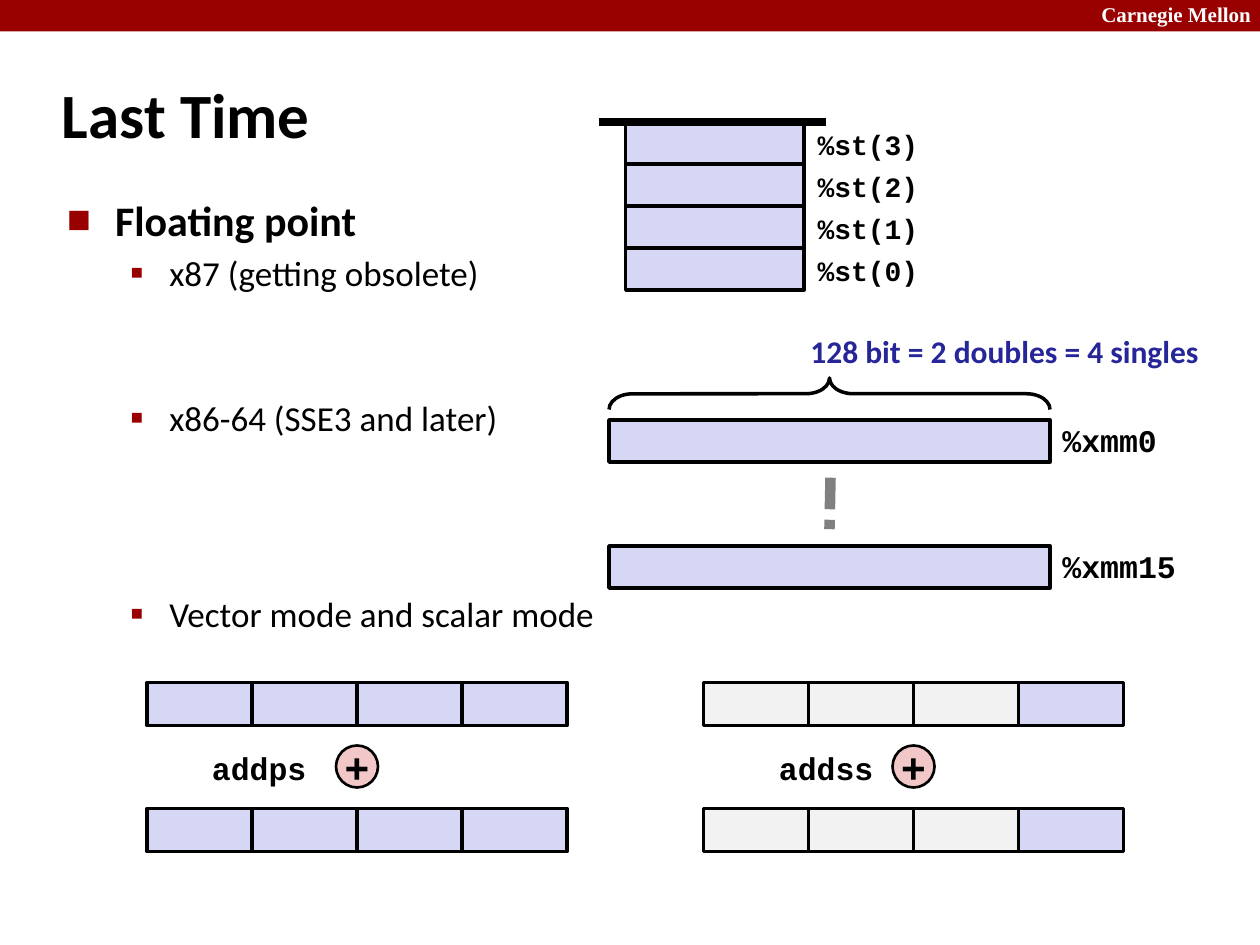
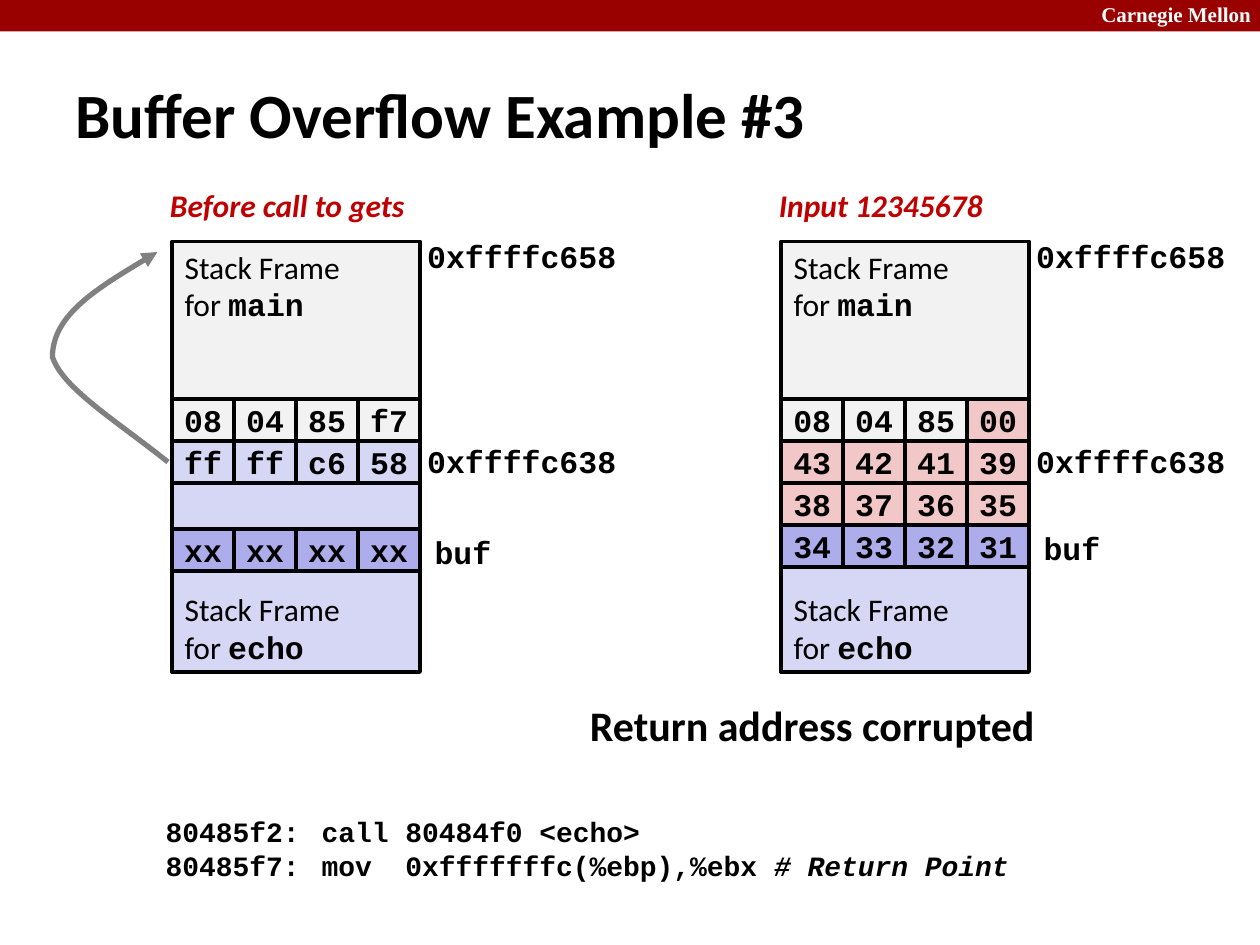
from pptx import Presentation
from pptx.dml.color import RGBColor
from pptx.enum.dml import MSO_LINE
from pptx.enum.shapes import MSO_CONNECTOR, MSO_SHAPE
from pptx.enum.text import MSO_ANCHOR, MSO_AUTO_SIZE, PP_ALIGN
from pptx.oxml.ns import qn
from pptx.util import Inches, Pt
from lxml import etree

RECTANGLE, OVAL, BRACE = MSO_SHAPE.RECTANGLE, MSO_SHAPE.OVAL, MSO_SHAPE.LEFT_BRACE
TOP, MIDDLE, BOTTOM = MSO_ANCHOR.TOP, MSO_ANCHOR.MIDDLE, MSO_ANCHOR.BOTTOM
LEFT, CENTER = PP_ALIGN.LEFT, PP_ALIGN.CENTER
STRAIGHT, DOTTED = MSO_CONNECTOR.STRAIGHT, MSO_LINE.SQUARE_DOT

BLACK = RGBColor(0x00, 0x00, 0x00)
WHITE = RGBColor(0xFF, 0xFF, 0xFF)
CARDINAL = RGBColor(0x99, 0x00, 0x00)
CAPTION_RED = RGBColor(0xC0, 0x00, 0x00)
NAVY = RGBColor(0x26, 0x26, 0x99)
GRAY = RGBColor(0x80, 0x80, 0x80)
PALE_GRAY = RGBColor(0xF2, 0xF2, 0xF2)
LAVENDER = RGBColor(0xD6, 0xD6, 0xF5)
VIOLET = RGBColor(0xAD, 0xAD, 0xEB)
PINK = RGBColor(0xF1, 0xC7, 0xC7)

TITLE = {"name": "Calibri", "size": Pt(36), "bold": True, "color": BLACK}
HEADING = {**TITLE, "size": Pt(24)}
ITEM = {**TITLE, "size": Pt(20), "bold": False}
FRAME = {**ITEM, "size": Pt(18)}
NOTE = {**TITLE, "size": Pt(18), "color": NAVY}
CAPTION = {**NOTE, "italic": True, "color": CAPTION_RED}
CODE = {"name": "Courier New", "size": Pt(18), "bold": True, "color": BLACK}
SMALL_CODE = {**CODE, "size": Pt(16)}
PLUS = {**CODE, "size": Pt(24)}
BRAND = {"name": "Times New Roman", "size": Pt(12), "bold": True, "color": WHITE}

presentation = Presentation()
presentation.slide_width, presentation.slide_height = Inches(10), Inches(7.5)
UNIT = presentation.slide_width / 120  # the grid has 120 columns and 90 rows


def add_box(slide, kind, place, fill=None, line_width=None):
    """Add a shape, or a text box if kind is None, at a place on the grid."""
    left, top, width, height = [round(value * UNIT) for value in place]
    if kind is None:
        return slide.shapes.add_textbox(left, top, width, height)
    shape = slide.shapes.add_shape(kind, left, top, width, height)
    shape.shadow.inherit = False
    if fill is None:
        shape.fill.background()
    else:
        shape.fill.solid()
        shape.fill.fore_color.rgb = fill
    if line_width is None:
        shape.line.fill.background()
    else:
        shape.line.color.rgb = BLACK
        shape.line.width = Pt(line_width)
    return shape


def write_text(shape, lines, anchor=TOP, alignment=LEFT, wrap=False):
    """Write lines, each a list of (text, format) runs."""
    frame = shape.text_frame
    frame.word_wrap = wrap
    frame.auto_size = MSO_AUTO_SIZE.NONE
    frame.vertical_anchor = anchor
    for index, runs in enumerate(lines):
        paragraph = frame.add_paragraph() if index else frame.paragraphs[0]
        paragraph.alignment = alignment
        for text, values in runs:
            run = paragraph.add_run()
            run.text = text
            for name, value in values.items():
                if name == "color":
                    run.font.color.rgb = value
                else:
                    setattr(run.font, name, value)
    return frame.paragraphs


# Slides and titles
review = presentation.slides.add_slide(presentation.slide_layouts[1])
overflow = presentation.slides.add_slide(presentation.slide_layouts[5])
for slide, text, place in [
    (review, "Last Time", (4.7, 5.8, 99.6, 10)),
    (overflow, "Buffer Overflow Example #3", (6, 7, 102.5, 7.6)),
]:
    title = slide.shapes.title
    title.left, title.top, title.width, title.height = [round(value * UNIT) for value in place]
    write_text(title, [[(text, TITLE)]], MIDDLE, wrap=True)

# Band and university name, moved to the master
band = add_box(review, RECTANGLE, (0, 0, 120, 3), CARDINAL)
university = add_box(review, None, (103.7, -0.4, 17.2, 3.6))
write_text(university, [[("Carnegie Mellon", BRAND)]])
for number, shape in enumerate([band, university], 20):
    shape._element.nvSpPr.cNvPr.set("id", str(number))
    presentation.slide_master.shapes._spTree.append(shape._element)

# Slide 1: list, with gaps left for the diagrams
body = review.placeholders[1]
body.left, body.top, body.width, body.height = [
    round(value * UNIT) for value in (5.2, 17.9, 103.7, 65.3)]
entries = [  # text, format, level, space before, indent, hanging, bullet, bullet size
    ("Floating point", HEADING, 0, 0, 0.38, 0.38, "■", 60),
    ("x87 (getting obsolete)", ITEM, 1, 4, 0.81, 0.31, "▪", 110),
    ("x86-64 (SSE3 and later)", ITEM, 1, 59, 0.81, 0.31, "▪", 110),
    ("Vector mode and scalar mode", ITEM, 1, 87.5, 0.81, 0.31, "▪", 110),
]
paragraphs = write_text(body, [[entry[:2]] for entry in entries], wrap=True)
for paragraph, entry in zip(paragraphs, entries):
    level, space, indent, hanging, bullet, percent = entry[2:]
    paragraph.level = level
    paragraph.space_before = Pt(space)
    properties = paragraph._p.get_or_add_pPr()
    properties.set("marL", str(Inches(indent)))
    properties.set("indent", str(-Inches(hanging)))
    color = etree.SubElement(properties, qn("a:buClr"))
    etree.SubElement(color, qn("a:srgbClr"), val=str(CARDINAL))
    etree.SubElement(properties, qn("a:buSzPct"), val=str(percent * 1000))
    etree.SubElement(properties, qn("a:buFont"), typeface="Calibri")
    etree.SubElement(properties, qn("a:buChar"), char=bullet)

# Slide 1: x87 register stack
for row in range(4):
    top = 11.6 + 4 * row
    add_box(review, RECTANGLE, (59.6, top, 17, 4), LAVENDER, 2)
    label = add_box(review, None, (76.7, top, 12, 4.4))
    write_text(label, [[(f"%st({3 - row})", SMALL_CODE)]])

# Slide 1: bar over the stack, dots between the SSE registers
for ends, color, width, dash in [
    ((57, 11.6, 78.7, 11.6), BLACK, 4.5, None),
    ((79.1, 45.5, 79, 50.4), GRAY, 6, DOTTED),
]:
    connector = review.shapes.add_connector(STRAIGHT, *[round(value * UNIT) for value in ends])
    connector.line.color.rgb = color
    connector.line.width = Pt(width)
    connector.line.dash_style = dash
    etree.SubElement(connector._element.spPr, qn("a:effectLst"))

# Slide 1: SSE registers
for name, top, width in [("%xmm0", 40, 11.5), ("%xmm15", 52, 13.3)]:
    add_box(review, RECTANGLE, (58, top, 42, 4), LAVENDER, 2)
    write_text(add_box(review, None, (100, top - 0.5, width, 4.8)), [[(name, CODE)]])
brace = add_box(review, BRACE, (77.5, 16.5, 3, 42), None, 2)
brace.rotation = 90
brace.adjustments[0] = 0.75
size_note = add_box(review, None, (76, 31, 39.7, 4.8))
write_text(size_note, [[("128 bit = 2 doubles = 4 singles", NOTE)]])

# Slide 1: vector and scalar addition
for name, left, name_left, fills in [
    ("addps", 14, 19, [LAVENDER] * 4),
    ("addss", 67, 73, [PALE_GRAY] * 3 + [LAVENDER]),
]:
    for top in (65, 77):
        for column, fill in enumerate(fills):
            add_box(review, RECTANGLE, (left + 10 * column, top, 10, 4.1), fill, 2)
    plus = add_box(review, OVAL, (left + 18, 71, 4, 4), PINK, 1.5)
    write_text(plus, [[("+", PLUS)]], MIDDLE, CENTER)
    for side in ("left", "top", "right", "bottom"):
        setattr(plus.text_frame, f"margin_{side}", Inches(0.05))
    write_text(add_box(review, None, (name_left, 70.7, 11.5, 4.8)), [[(name, CODE)]])

# Slide 2: the stack before and after the input
stacks = [  # left, caption, caption width, top of buf, rows of (top, bytes, fills)
    (16.4, "Before call to gets", 25.1, 50.4, [
        (38, "08 04 85 f7", [PALE_GRAY] * 4),
        (42, "ff ff c6 58", [LAVENDER] * 4),
        (50.4, "xx xx xx xx", [VIOLET] * 4)]),
    (74.4, "Input 12345678", 22.1, 50, [
        (38, "08 04 85 00", [PALE_GRAY] * 3 + [PINK]),
        (42, "43 42 41 39", [PINK] * 4),
        (46, "38 37 36 35", [PINK] * 4),
        (50, "34 33 32 31", [VIOLET] * 4)]),
]
for left, caption, caption_width, buffer_top, rows in stacks:
    for function, top, height, fill, anchor in [
        ("main", 23, 15, PALE_GRAY, TOP),
        ("echo", 46, 18, LAVENDER, BOTTOM),
    ]:
        frame = add_box(overflow, RECTANGLE, (left, top, 23.6, height), fill, 2.25)
        lines = [[("Stack Frame", FRAME)], [("for ", FRAME), (function, CODE)]]
        write_text(frame, lines, anchor, wrap=True)
    for top, row_bytes, fills in rows:
        for column, (text, fill) in enumerate(zip(row_bytes.split(), fills)):
            cell = add_box(overflow, RECTANGLE, (left + 5.9 * column, top, 5.9, 4), fill, 2.25)
            write_text(cell, [[(text, CODE)]], MIDDLE, CENTER)
    for text, values, offset, top, width in [
        (caption, CAPTION, -1.4, 17.1, caption_width),
        ("0xffffc658", CODE, 23.1, 22, 20.5),
        ("0xffffc638", CODE, 23.1, 41.5, 20.5),
        ("buf", CODE, 23.8, buffer_top - 0.25, 7.8),
    ]:
        label = add_box(overflow, None, (left + offset, top, width, 4.8))
        write_text(label, [[(text, values)]])

# Slide 2: curved arrow from the saved pointer, two Bezier arcs
curve = [(15.5, 43.9), (10.6, 40.4), (5.5, 37), (5.4, 33.7),
         (5.4, 30.4), (10.3, 27.2), (15.2, 24.1)]
builder = overflow.shapes.build_freeform(*curve[0], scale=UNIT)
builder.add_line_segments(curve[1:], close=False)
arrow = builder.convert_to_shape()
arrow.shadow.inherit = False
arrow.fill.background()
arrow.line.color.rgb = GRAY
arrow.line.width = Pt(3)
etree.SubElement(arrow.line._get_or_add_ln(), qn("a:tailEnd"), type="triangle")
outline = next(arrow._element.iter(qn("a:path")))
segments = outline.findall(qn("a:lnTo"))
for start in (0, 3):
    arc = etree.SubElement(outline, qn("a:cubicBezTo"))
    for segment in segments[start:start + 3]:
        arc.append(segment[0])
        outline.remove(segment)

# Slide 2: conclusion and code
conclusion = add_box(overflow, None, (55, 66, 45.2, 6))
write_text(conclusion, [[("Return address corrupted", HEADING)]])
listing = add_box(overflow, None, (13, 77, 87, 7.9))
code_lines = [
    [(" 80485f2:\tcall 80484f0 <echo>", SMALL_CODE)],
    [(" 80485f7:\tmov  0xfffffffc(%ebp),%ebx ", SMALL_CODE),
     ("# Return Point", {**SMALL_CODE, "italic": True})],
]
for paragraph in write_text(listing, code_lines, wrap=True):
    tabs = etree.SubElement(paragraph._p.get_or_add_pPr(), qn("a:tabLst"))
    etree.SubElement(tabs, qn("a:tab"), pos=str(Inches(1.37)), algn="l")

presentation.save("out.pptx")
